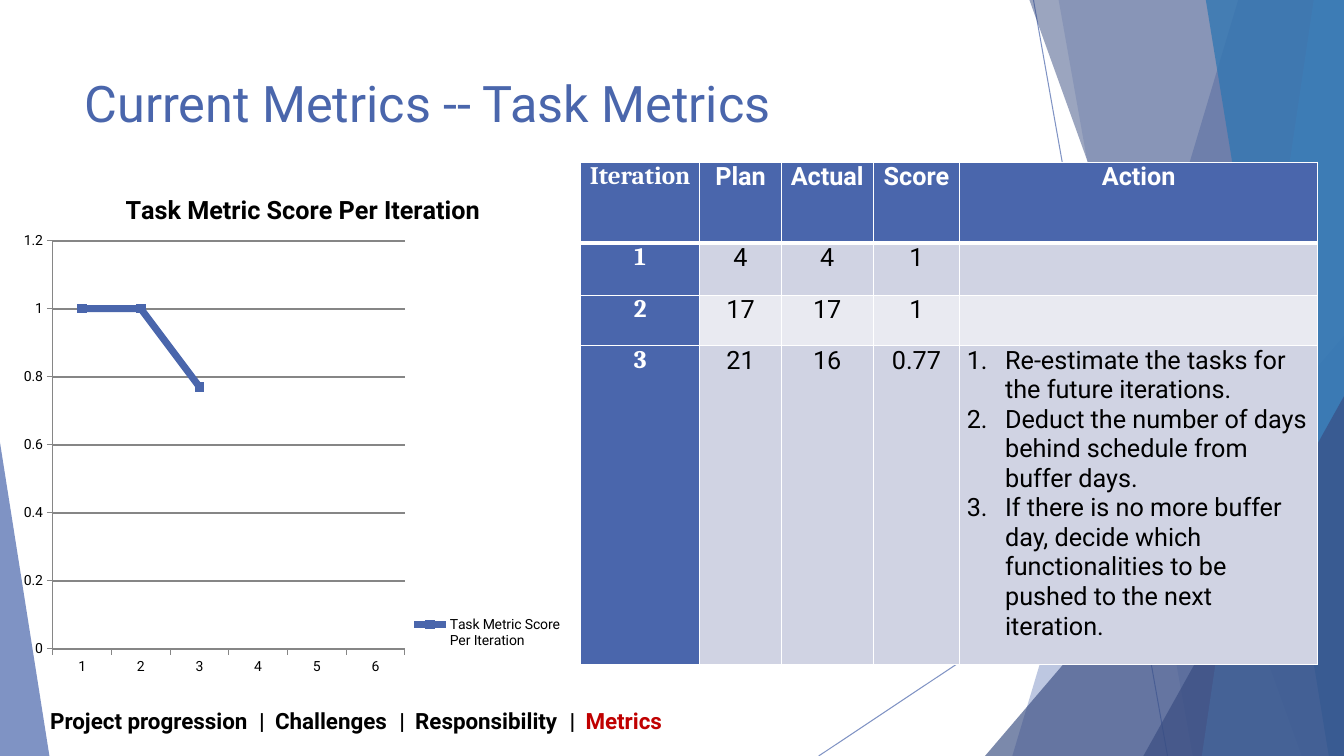
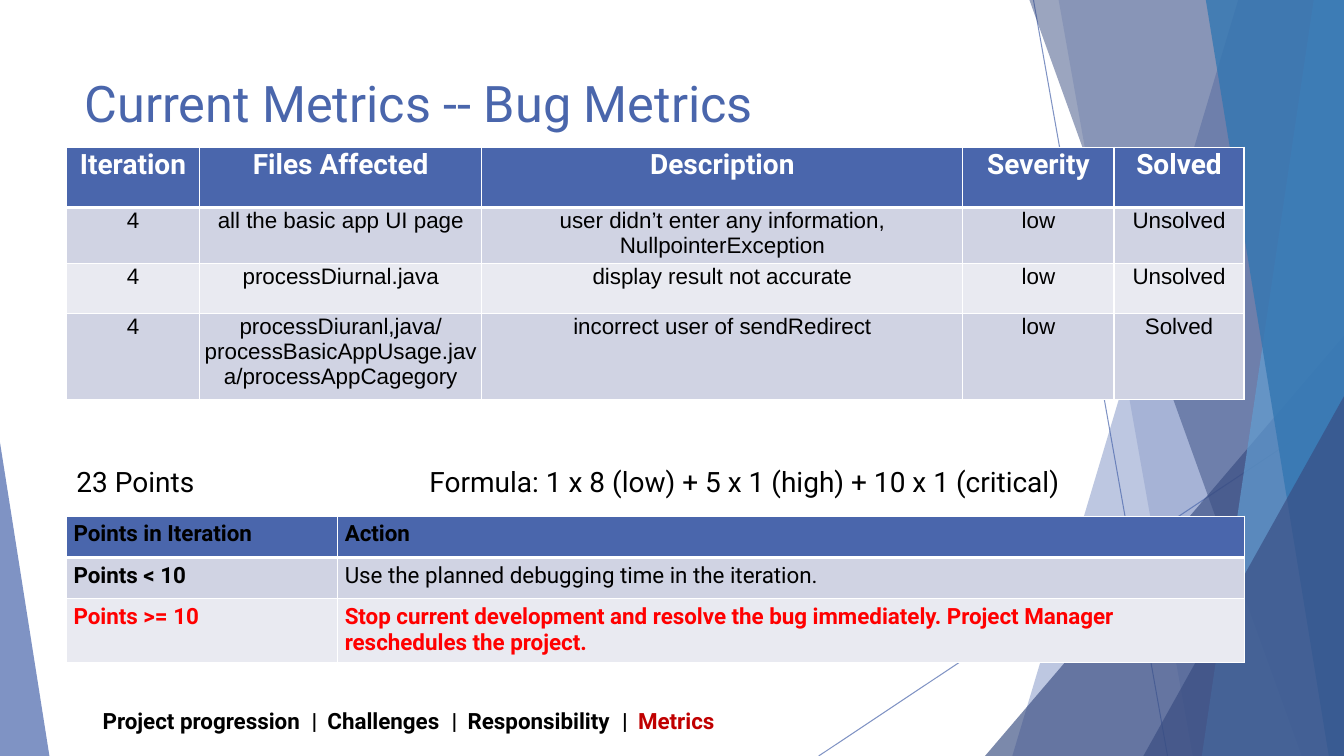
from lxml import etree
from pptx import Presentation
from pptx.chart.data import CategoryChartData
from pptx.dml.color import RGBColor
from pptx.enum.chart import XL_CHART_TYPE as ChartType, XL_LEGEND_POSITION as LegendPosition
from pptx.enum.chart import XL_MARKER_STYLE as MarkerStyle, XL_TICK_MARK as TickMark
from pptx.enum.shapes import MSO_CONNECTOR as Connector, MSO_SHAPE as Shape
from pptx.enum.text import MSO_ANCHOR as Anchor, PP_ALIGN as Align
from pptx.oxml import parse_xml
from pptx.oxml.ns import nsdecls, qn
from pptx.util import Inches, Pt

# Shared look
WIDTH, HEIGHT = 13.33, 7.5
BLUE, NAVY, SKY, OCEAN = "4A66AC", "384C81", "629DD1", "3477B2"
BLACK, WHITE, GRAY, RED, DARK_RED = "000000", "FFFFFF", "868686", "FF0000", "C00000"
BANDS = ["D0D3E3", "E9EAF1"]
FONT, HEAD_FONT, CELL_FONT = "Roboto", "Cambria", "Arial"

# Backdrop, back to front: kind, geometry, colour, opacity in percent
BACKDROP = [
    ("line", (10.25, 0, 11.58, HEIGHT), BLUE, 70),
    ("line", (WIDTH, 4.03, 8.12, HEIGHT), BLUE, 70),
    ("band", (12.28, 10.04), BLUE, 36),  # left edge at top and at bottom
    ("band", (10.5, 11.83), BLUE, 20),
    ("triangle", (9.77, 3.33, 3.56, 1), NAVY, 66),  # left, top, width, apex
    ("band", (10.21, 12.91), NAVY, 50),
    ("band", (13.03, 11.92), SKY, 70),
    ("band", (11.96, 13.18), OCEAN, 80),
    ("triangle", (11.34, 3.93, 1.99, 1), NAVY, 66),
    ("triangle", (0, 4.39, 0.49, 0), BLUE, 70),
]

# Footer
SECTIONS = ["Project progression", "Challenges", "Responsibility"]
CURRENT_SECTION = "Metrics"
SEPARATORS = [2.1, 3.49, 5.18]
FOOTER_TABS = [stop for x in SEPARATORS for stop in ((x, "ctr"), (x + 0.13, "l"))]

# Slide content; a cell is text, a list of numbered steps, or (text, format)
SCORES = {
    "title": "Task Metric Score Per Iteration",
    "categories": ["1", "2", "3", "4", "5", "6"],
    "values": [1, 1, 0.77, None, None, None],
}
ROW_HEAD = dict(font=HEAD_FONT, color=WHITE, bold=True, fill=BLUE)
TASK_TABLE = {
    "at": (5.76, 1.61),
    "columns": [1.18, 0.81, 0.91, 0.86, 3.55],
    "heights": [0.8, 0.52, 0.5, 3.16],
    "header": dict(size=18, color=WHITE, bold=True, align=Align.CENTER, margins=(0.07, 0)),
    "body": dict(size=18, align=Align.CENTER, margins=(0.07, 0)),
    "rows": [
        [("Iteration", dict(font=HEAD_FONT)), "Plan", "Actual", "Score", "Action"],
        [("1", ROW_HEAD), "4", "4", "1", ""],
        [("2", ROW_HEAD), "17", "17", "1", ""],
        [("3", ROW_HEAD), "21", "16", "0.77", [
            "Re-estimate the tasks for the future iterations.",
            "Deduct the number of days behind schedule from buffer days.",
            "If there is no more buffer day, decide which functionalities "
            "to be pushed to the next iteration.",
        ]],
    ],
}
BUG_TABLE = {
    "at": (0.66, 1.46),
    "columns": [1.32, 2.8, 4.77, 1.5, 1.29],
    "heights": [0.6, 0.5, 0.5, 0.85],
    "header": dict(size=20, color=WHITE, bold=True, align=Align.CENTER, margins=(0.02, 0.01)),
    "body": dict(size=16, font=CELL_FONT, align=Align.CENTER, margins=(0.01, 0.01)),
    "rows": [
        ["Iteration", "Files Affected", "Description", "Severity", "Solved"],
        ["4", "all the basic app UI page",
         "user didn’t enter any information, NullpointerException", "low", "Unsolved"],
        ["4", "processDiurnal.java", "display result not accurate", "low", "Unsolved"],
        ["4", "processDiuranl,java/processBasicAppUsage.java/processAppCagegory",
         "incorrect user of sendRedirect", "low", "Solved"],
    ],
}
ALERT = dict(color=RED, bold=True)
POINTS_TABLE = {
    "at": (0.66, 5.12),
    "columns": [2.69, 8.99],
    "heights": [0.41, 0.41, 0.62],
    "header": dict(size=16, bold=True, margins=(0.07, 0.05)),
    "body": dict(size=16, margins=(0.07, 0.05)),
    "rows": [
        ["Points in Iteration", "Action"],
        [("Points < 10", dict(bold=True)), "Use the planned debugging time in the iteration."],
        [("Points >= 10", ALERT),
         ("Stop current development and resolve the bug immediately. "
          "Project Manager reschedules the project.", ALERT)],
    ],
}
POINTS_LINE = "23 Points\tFormula: 1 x 8 (low) + 5 x 1 (high) + 10 x 1 (critical)"


def rgb(value):
    return RGBColor.from_string(value)


def paint(fill, color, opacity=100):
    fill.solid()
    fill.fore_color.rgb = rgb(color)
    if opacity < 100:
        color_element = fill._xPr.find(".//" + qn("a:srgbClr"))
        etree.SubElement(color_element, qn("a:alpha"), val=str(opacity * 1000))


def write(frame, text, size=16, color=BLACK, bold=False, font=FONT, align=Align.LEFT,
          tabs=(), numbered=False, accent=None):
    """Fill a text frame; accent is a (text, colour) run added at the end."""
    lines = text if isinstance(text, list) else [text]
    for index, line in enumerate(lines):
        paragraph = frame.paragraphs[0] if index == 0 else frame.add_paragraph()
        paragraph.alignment = align
        properties = paragraph._p.get_or_add_pPr()
        if numbered:
            properties.set("marL", str(Inches(0.38)))
            properties.set("indent", str(-Inches(0.38)))
            etree.SubElement(properties, qn("a:buAutoNum"), type="arabicPeriod")
        if tabs:
            tab_list = etree.SubElement(properties, qn("a:tabLst"))
            for position, kind in tabs:
                etree.SubElement(tab_list, qn("a:tab"), pos=str(Inches(position)), algn=kind)
        runs = [(line, color)] + ([accent] if accent and index == len(lines) - 1 else [])
        for run_text, run_color in runs:
            run = paragraph.add_run()
            run.text = run_text
            run.font.size, run.font.bold, run.font.name = Pt(size), bold, font
            run.font.color.rgb = rgb(run_color)


def add_text(slide, box, text, anchor=Anchor.TOP, **text_format):
    frame = slide.shapes.add_textbox(*map(Inches, box)).text_frame
    frame.word_wrap = True
    frame.vertical_anchor = anchor
    write(frame, text, **text_format)


def add_backdrop(slide):
    shapes = slide.shapes.add_group_shape().shapes
    for kind, geometry, color, opacity in BACKDROP:
        if kind == "line":
            line = shapes.add_connector(Connector.STRAIGHT, *map(Inches, geometry))
            line.line.width = Pt(0.75)
            paint(line.line.fill, color, opacity)
            etree.SubElement(line._element.spPr, qn("a:effectLst"))
            continue
        if kind == "band":
            top_x, bottom_x = geometry
            corners = [(WIDTH, 0), (WIDTH, HEIGHT), (bottom_x, HEIGHT)]
            builder = shapes.build_freeform(Inches(top_x), 0)
            builder.add_line_segments([(Inches(x), Inches(y)) for x, y in corners])
            shape = builder.convert_to_shape()
        else:
            left, top, width, apex = geometry
            shape = shapes.add_shape(Shape.ISOSCELES_TRIANGLE,
                                     *map(Inches, (left, top, width, HEIGHT - top)))
            shape.adjustments[0] = apex
        shape.shadow.inherit = False
        shape.line.fill.background()
        paint(shape.fill, color, opacity)


def add_borders(cell, **widths):
    properties = cell._tc.get_or_add_tcPr()
    for side in "LRTB":
        border = etree.SubElement(properties, qn("a:ln" + side), w=str(Pt(widths.get(side, 1))))
        fill = etree.SubElement(border, qn("a:solidFill"))
        etree.SubElement(fill, qn("a:srgbClr"), val=WHITE)


def add_table(slide, content):
    rows, columns, heights = content["rows"], content["columns"], content["heights"]
    box = (*content["at"], sum(columns), sum(heights))
    table = slide.shapes.add_table(len(rows), len(columns), *map(Inches, box)).table
    for column, width in zip(table.columns, columns):
        column.width = Inches(width)
    for row_index, values in enumerate(rows):
        table.rows[row_index].height = Inches(heights[row_index])
        for column_index, value in enumerate(values):
            cell = table.cell(row_index, column_index)
            text, changes = value if isinstance(value, tuple) else (value, {})
            style = {**content["body" if row_index else "header"], **changes}
            if isinstance(text, list):
                style.update(numbered=True, align=Align.LEFT, tabs=[(0.5, "l")])
            across, down = map(Inches, style.pop("margins"))
            cell.margin_left = cell.margin_right = across
            cell.margin_top = cell.margin_bottom = down
            band = BANDS[(row_index - 1) % 2] if row_index else BLUE
            add_borders(cell, **({0: {"B": 3}, 1: {"T": 3}}.get(row_index, {})))
            paint(cell.fill, style.pop("fill", band))
            if text:
                write(cell.text_frame, text, **style)


def manual_layout(x, y, width=None, height=None, inner=False):
    parts = ['<c:layoutTarget val="inner"/>'] if inner else []
    parts += ['<c:xMode val="edge"/><c:yMode val="edge"/>']
    sizes = {"x": x, "y": y, "w": width, "h": height}
    parts += [f'<c:{key} val="{value}"/>' for key, value in sizes.items() if value is not None]
    return parse_xml(f'<c:layout {nsdecls("c")}><c:manualLayout>{"".join(parts)}'
                     "</c:manualLayout></c:layout>")


def place(element, layout, after=None):
    """Give a chart part its layout, behind the named child or in front."""
    for old in element.findall(qn("c:layout")):
        element.remove(old)
    if after:
        element.find(qn(after)).addnext(layout)
    else:
        element.insert(0, layout)


def add_score_chart(slide):
    data = CategoryChartData()
    data.categories = SCORES["categories"]
    data.add_series(SCORES["title"], SCORES["values"])
    box = map(Inches, (0.13, 1.61, 5.63, 5.19))
    chart = slide.shapes.add_chart(ChartType.LINE_MARKERS, *box, data).chart
    chart.font.size, chart.font.name = Pt(10), FONT
    chart.font.color.rgb = rgb(BLACK)

    # Title and legend
    chart.has_title = True
    write(chart.chart_title.text_frame, SCORES["title"], size=18, bold=True)
    place(chart.chart_title._element, manual_layout(0.19, 0.05), after="c:tx")
    chart.has_legend = True
    chart.legend.position = LegendPosition.RIGHT
    chart.legend.include_in_layout = False
    place(chart.legend._element, manual_layout(0.69, 0.86, 0.29, 0.08), after="c:legendPos")

    # Axes and plot area
    plot_area = chart._chartSpace.chart.plotArea
    place(plot_area, manual_layout(0.07, 0.15, 0.62, 0.78, inner=True))
    value_axis = chart.value_axis
    value_axis.minimum_scale, value_axis.maximum_scale, value_axis.major_unit = 0, 1.2, 0.2
    value_axis.has_major_gridlines = True
    for axis in (value_axis, chart.category_axis):
        axis.major_tick_mark = TickMark.OUTSIDE
        axis.format.line.color.rgb = rgb(GRAY)
    gridline = value_axis.major_gridlines.format.line
    gridline.color.rgb, gridline.width = rgb(GRAY), Pt(1.25)

    # Score line
    chart.plots[0].vary_by_categories = False
    series = chart.plots[0].series[0]
    series.smooth = False
    series.format.line.color.rgb, series.format.line.width = rgb(BLUE), Pt(5)
    series.marker.style, series.marker.size = MarkerStyle.SQUARE, 6
    paint(series.marker.format.fill, BLUE)
    series.marker.format.line.color.rgb = rgb(BLUE)


def add_slide(presentation, title, footer_left, footer_width):
    slide = presentation.slides.add_slide(presentation.slide_layouts[6])
    add_backdrop(slide)
    add_text(slide, (0.74, 0.67, 9.4, 1.44), title, size=36, color=BLUE)
    add_text(slide, (footer_left, 6.95, footer_width, 0.4), "\t|\t".join(SECTIONS) + "\t|\t",
             anchor=Anchor.MIDDLE, bold=True, tabs=FOOTER_TABS,
             accent=(CURRENT_SECTION, DARK_RED))
    return slide


def main():
    presentation = Presentation()
    presentation.slide_width, presentation.slide_height = Inches(WIDTH), Inches(HEIGHT)

    task_slide = add_slide(presentation, "Current Metrics -- Task Metrics", 0.4, 12.67)
    add_score_chart(task_slide)
    add_table(task_slide, TASK_TABLE)

    bug_slide = add_slide(presentation, "Current Metrics -- Bug Metrics", 0.92, 11.43)
    add_table(bug_slide, BUG_TABLE)
    add_text(bug_slide, (0.66, 4.56, 11.68, 0.54), POINTS_LINE, size=20, tabs=[(3.5, "l")])
    add_table(bug_slide, POINTS_TABLE)

    presentation.save("out.pptx")


if __name__ == "__main__":
    main()
